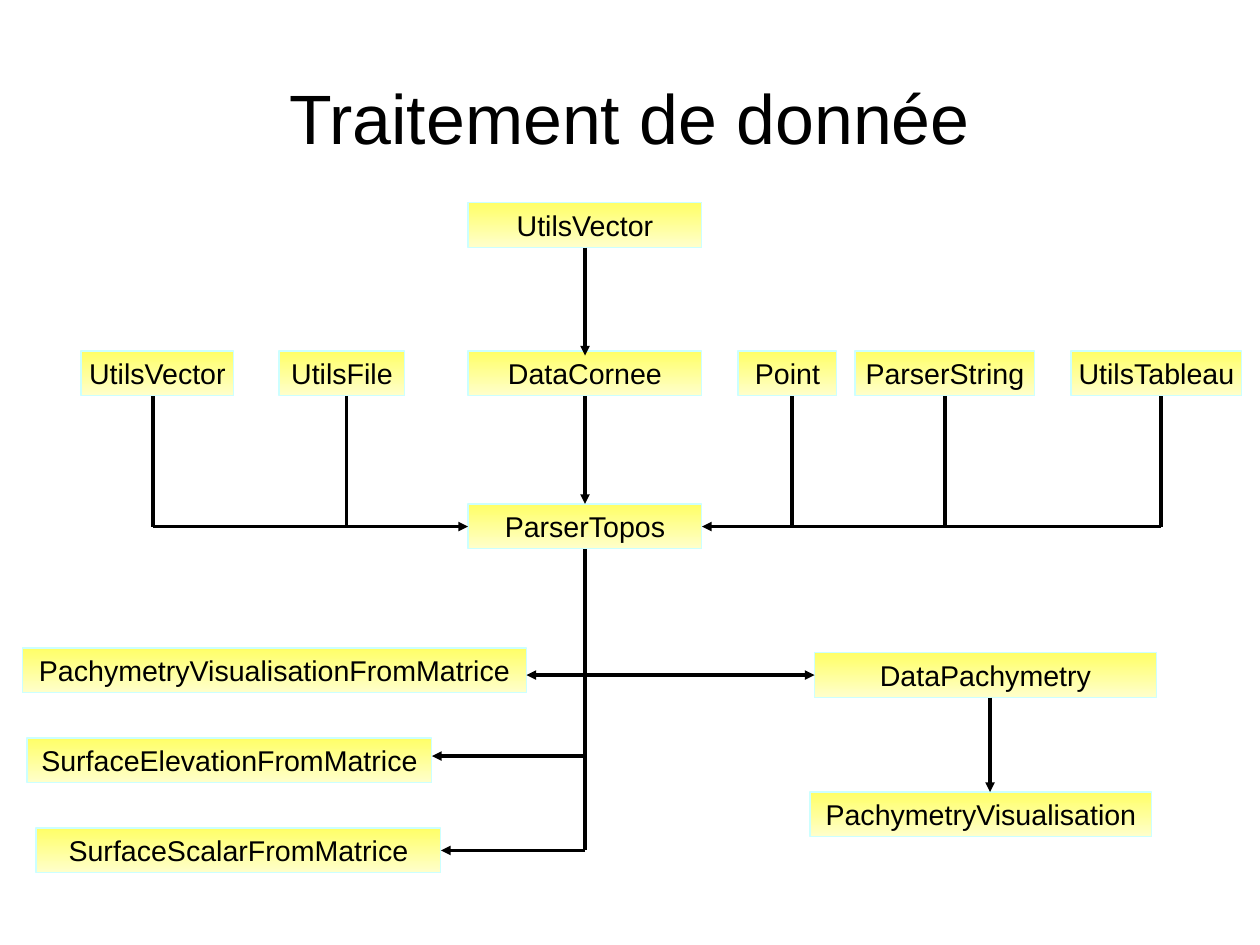
from pptx import Presentation
from pptx.dml.color import RGBColor
from pptx.enum.shapes import MSO_CONNECTOR, MSO_SHAPE
from pptx.enum.text import MSO_ANCHOR, PP_ALIGN
from pptx.oxml.ns import qn
from pptx.util import Cm, Pt
from lxml.etree import SubElement

COLORS = {"text": "000000", "top": "FFFF66", "base": "FFFFCC", "edge": "CCFFFF"}
FRAME = {"vertical_anchor": MSO_ANCHOR.MIDDLE}
MARGINS = {f"margin_{side}": 0 for side in ("left", "right", "top", "bottom")}


def apply(item, values):
    for name, value in values.items():
        setattr(item, name, value)


class Chart:
    """Holds the style and the current slide."""

    font = "Arial"
    high = 1

    def __init__(self, deck):
        self.slide = deck.slides.add_slide(deck.slide_layouts[6])

    def color(self, name):
        return RGBColor.from_string(COLORS[name])

    def label(self, shape, text, size, **frame):
        body = shape.text_frame
        apply(body, {**FRAME, **frame})
        para = body.paragraphs[0]
        para.alignment = PP_ALIGN.CENTER
        run = para.add_run()
        run.text = text
        apply(run.font, {"name": self.font, "size": Pt(size)})
        run.font.color.rgb = self.color("text")

    def title(self, text, *area):
        box = self.slide.shapes.add_textbox(*map(Cm, area))
        self.label(box, text, 44, word_wrap=True, **MARGINS)

    def box(self, text, left, top, width):
        area = map(Cm, (left, top, width, self.high))
        shape = self.slide.shapes.add_shape(MSO_SHAPE.RECTANGLE, *area)
        shape.shadow.inherit = False
        shape.fill.gradient()
        shape.fill.gradient_angle = 270
        stops = shape.fill.gradient_stops
        for stop, name, place in zip(stops, ("top", "base"), (0, 1)):
            stop.color.rgb = self.color(name)
            stop.position = place
        shape.line.color.rgb = self.color("edge")
        shape.line.width = Pt(0)
        self.label(shape, text, 18, word_wrap=False)

    def line(self, x1, y1, x2, y2, arrow=False):
        ends = map(Cm, (x1, y1, x2, y2))
        link = self.slide.shapes.add_connector(MSO_CONNECTOR.STRAIGHT, *ends)
        link.line.color.rgb = self.color("text")
        link.line.width = Pt(0)
        props = link._element.spPr
        if arrow:
            SubElement(props.find(qn("a:ln")), qn("a:tailEnd"), type="triangle")
        SubElement(props, qn("a:effectLst"))

    def arrow(self, *ends):
        self.line(*ends, arrow=True)


deck = Presentation()
apply(deck, {"slide_width": Cm(28), "slide_height": Cm(21)})
chart = Chart(deck)
chart.title("Traitement de donnée", 1.4, 0.85, 25.2, 3.5)

# Main column
left, wide, mid = 10.4, 5.2, 13
right = left + wide
row, hub = 7.8, 11.2
for text, top in (("UtilsVector", 4.5), ("DataCornee", row), ("ParserTopos", hub)):
    chart.box(text, left, top, wide)
chart.arrow(mid, 5.5, mid, 7.9)
chart.arrow(mid, row + 1, mid, hub)

# Helper classes, each with its drop to the bus
bus = hub + 0.5
for text, x, width, drop in (
    ("UtilsVector", 1.8, 3.4, 3.4),
    ("UtilsFile", 6.2, 2.8, 7.7),
    ("Point", 16.4, 2.2, 17.6),
    ("ParserString", 19, 4, 21),
    ("UtilsTableau", 23.8, 3.8, 25.8),
):
    chart.box(text, x, row, width)
    chart.line(drop, row + 1, drop, bus)
chart.arrow(3.4, bus, left, bus)
chart.arrow(25.8, bus, right, bus)

# Views fed by the parser
chart.line(mid, hub + 1, mid, 18.9)
for text, x, top, width, y in (
    ("PachymetryVisualisationFromMatrice", 0.5, 14.4, 11.2, 15),
    ("SurfaceElevationFromMatrice", 0.6, 16.4, 9, 16.8),
    ("SurfaceScalarFromMatrice", 0.8, 18.4, 9, 18.9),
):
    chart.box(text, x, top, width)
    chart.arrow(mid, y, x + width, y)

# Pachymetry branch
chart.box("DataPachymetry", 18.1, 14.5, 7.6)
chart.box("PachymetryVisualisation", 18, 17.6, 7.6)
chart.arrow(mid, 15, 18.1, 15)
chart.arrow(22, 15.5, 22, 17.6)

deck.save("out.pptx")
